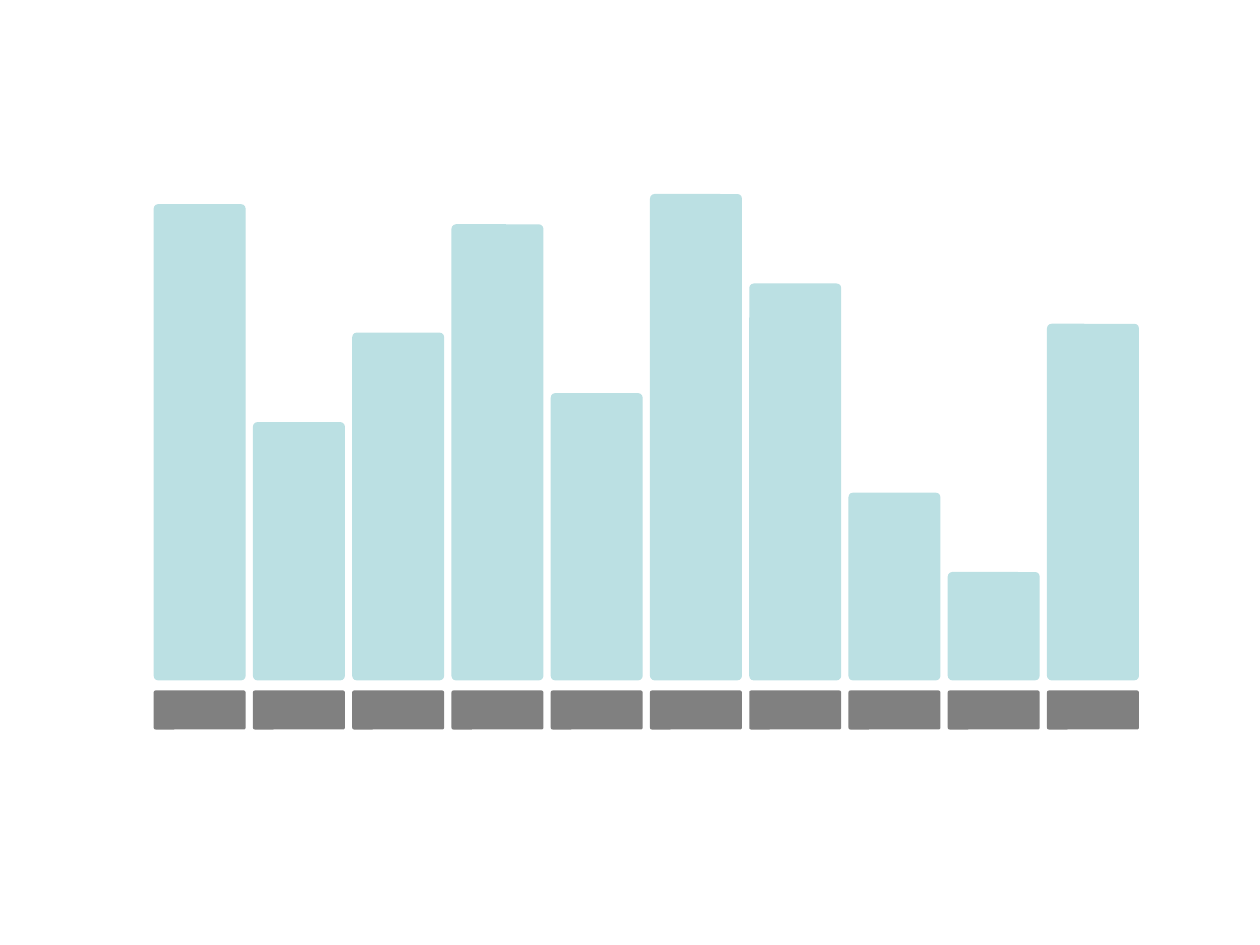
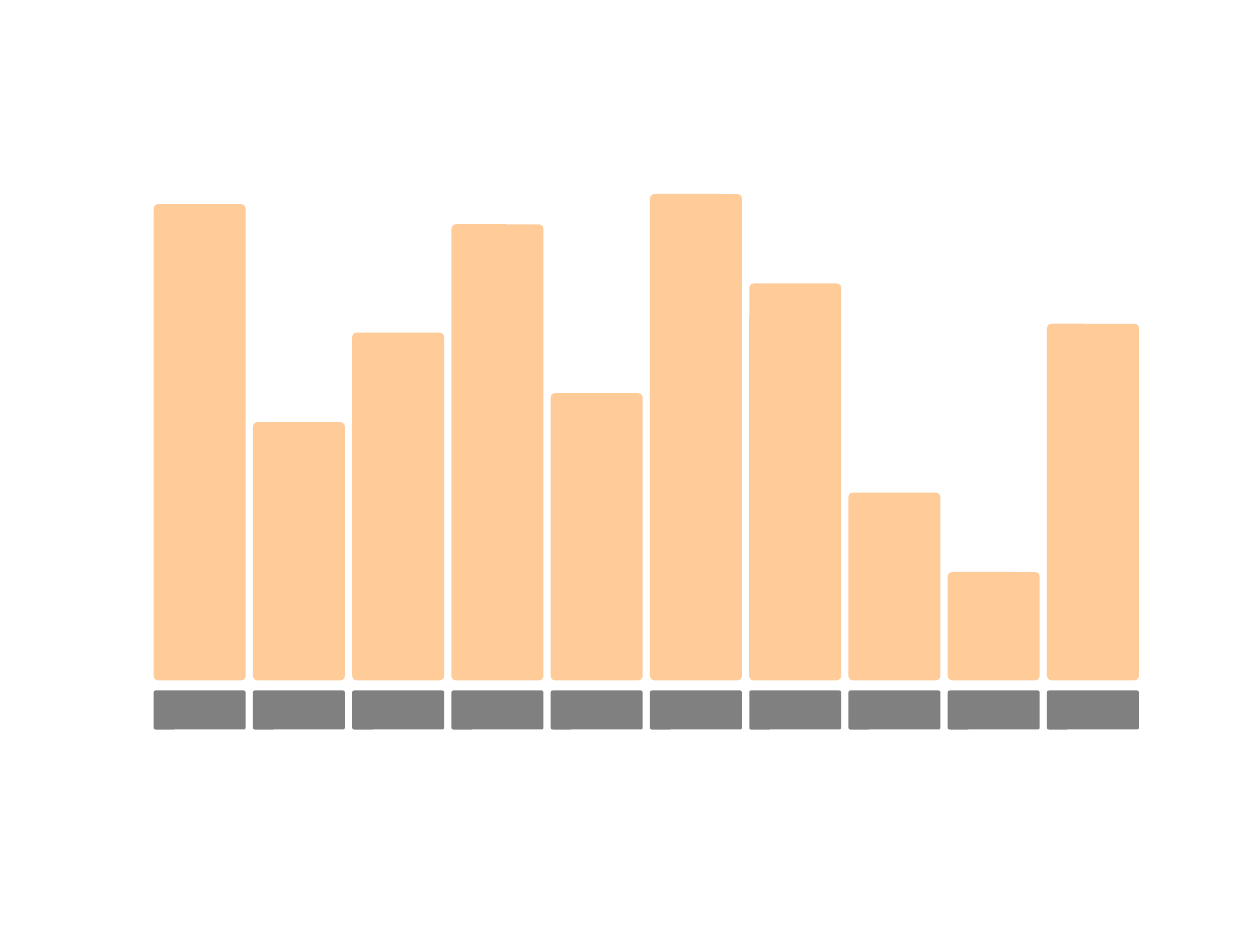
from dataclasses import dataclass

from pptx import Presentation
from pptx.dml.color import RGBColor
from pptx.enum.shapes import MSO_SHAPE
from pptx.slide import Slide
from pptx.util import Inches

ROUNDED_RECTANGLE = MSO_SHAPE.ROUNDED_RECTANGLE
BLANK_LAYOUT = 6

# Shared colours
WHITE = "FFFFFF"
LABEL_GREY = "808080"
SERIES_COLOURS = ("BBE0E3", "FFCC99")

# Shared column grid, in inches
BAR_HEIGHTS = (3.78, 2.05, 2.76, 3.62, 2.28, 3.86, 3.15, 1.49, 0.86, 2.83)
FIRST_LEFT = 1.22
LAST_LEFT = 8.31
COLUMN_STEP = (LAST_LEFT - FIRST_LEFT) / (len(BAR_HEIGHTS) - 1)
COLUMN_WIDTH = 0.73
BASELINE = 5.4
LABEL_TOP = 5.48
LABEL_HEIGHT = 0.31
CORNER_RATIO = 0.05


@dataclass(frozen=True)
class Block:
    left: float
    top: float
    height: float
    colour: str


def rgb(colour: str) -> RGBColor:
    return RGBColor.from_string(colour)


def draw_block(slide: Slide, block: Block) -> None:
    """Draw one borderless rounded block of column width."""
    shape = slide.shapes.add_shape(
        ROUNDED_RECTANGLE,
        Inches(block.left),
        Inches(block.top),
        Inches(COLUMN_WIDTH),
        Inches(block.height),
    )
    shape.adjustments[0] = CORNER_RATIO
    shape.fill.solid()
    shape.fill.fore_color.rgb = rgb(block.colour)
    shape.line.fill.background()
    shape.shadow.inherit = False


def draw_bar_slide(slide: Slide, bar_colour: str) -> None:
    """Draw the row of bars, each above its label block."""
    slide.background.fill.solid()
    slide.background.fill.fore_color.rgb = rgb(WHITE)
    for column, bar_height in enumerate(BAR_HEIGHTS):
        left = FIRST_LEFT + column * COLUMN_STEP
        draw_block(slide, Block(left, LABEL_TOP, LABEL_HEIGHT, LABEL_GREY))
        draw_block(slide, Block(left, BASELINE - bar_height, bar_height, bar_colour))


def main() -> None:
    presentation = Presentation()
    presentation.slide_width = Inches(10)
    presentation.slide_height = Inches(7.5)

    # One slide for each bar colour
    for bar_colour in SERIES_COLOURS:
        slide = presentation.slides.add_slide(presentation.slide_layouts[BLANK_LAYOUT])
        draw_bar_slide(slide, bar_colour)

    presentation.save("out.pptx")


if __name__ == "__main__":
    main()
